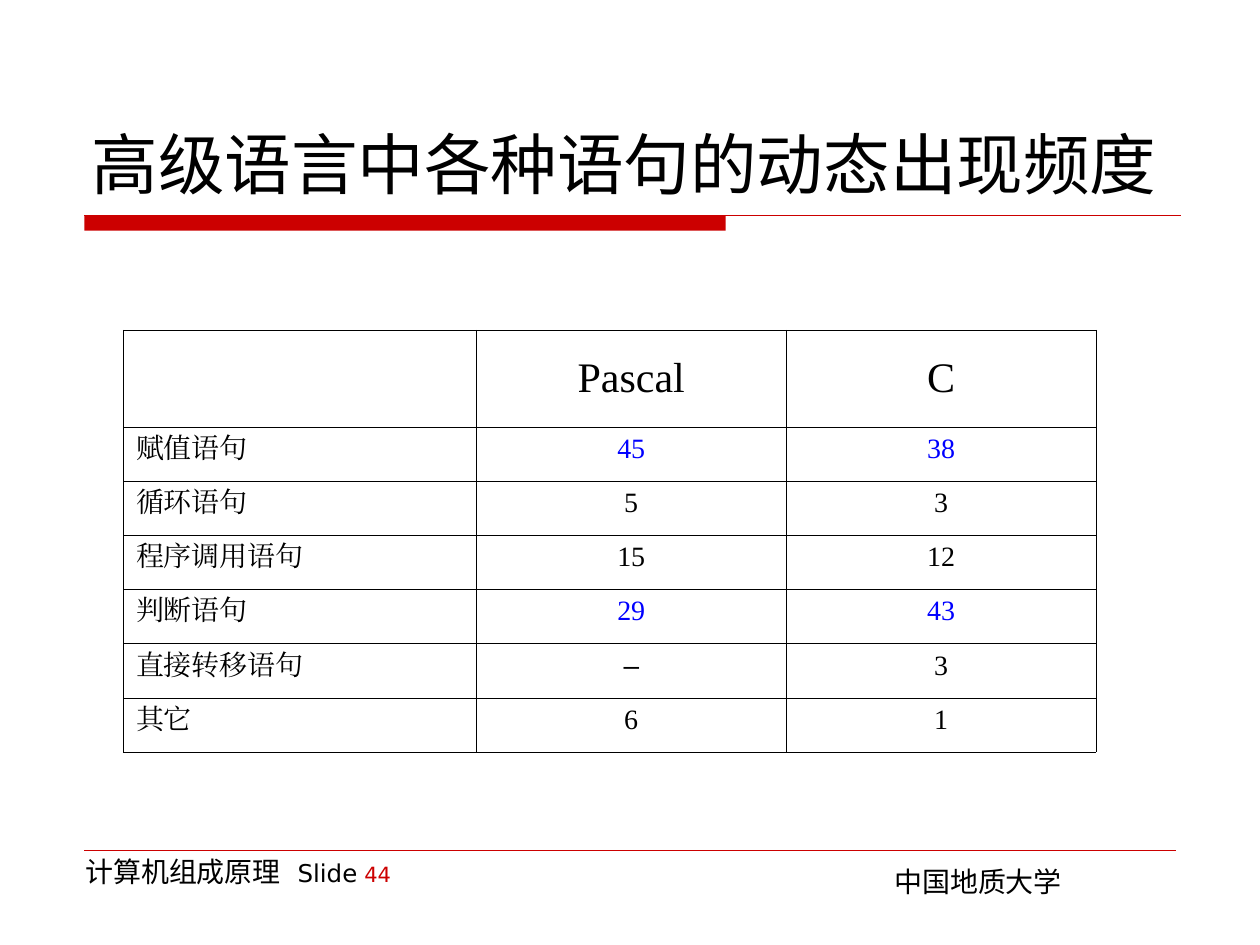
"""Build a slide comparing dynamic statement frequency in Pascal and C."""
from lxml import etree
from pptx import Presentation
from pptx.dml.color import RGBColor
from pptx.enum.shapes import MSO_CONNECTOR, MSO_SHAPE
from pptx.enum.text import MSO_ANCHOR, PP_ALIGN
from pptx.oxml.ns import qn
from pptx.util import Inches, Pt

STRAIGHT, RECTANGLE = MSO_CONNECTOR.STRAIGHT, MSO_SHAPE.RECTANGLE
TOP, MIDDLE, BOTTOM = MSO_ANCHOR.TOP, MSO_ANCHOR.MIDDLE, MSO_ANCHOR.BOTTOM
LEFT, CENTER = PP_ALIGN.LEFT, PP_ALIGN.CENTER
SANS, SERIF, DASH_FONT = "DejaVu Sans", "Times New Roman", "Arial"
COLORS = {"black": "000000", "red": "CC0000", "blue": "0000FF"}

TITLE = [("高级语言中各种语句的动态出现频度", 38, "black")]
SCHOOL = [("中国地质大学", 16, "black")]
COURSE = [
    ("计算机组成原理 ", 16, "black"),
    (" Slide", 14, "black"),
    (" ", 12, "black"),
    ("44", 12, "red"),
]
FREQUENCIES = [
    ("", "Pascal", "C"),
    ("赋值语句", "45", "38"),
    ("循环语句", "5", "3"),
    ("程序调用语句", "15", "12"),
    ("判断语句", "29", "43"),
    ("直接转移语句", "–", "3"),
    ("其它", "6", "1"),
]
HIGHLIGHTED = {"赋值语句", "判断语句"}
COLUMN_WIDTHS = (2.8, 2.46, 2.46)
HEADER_HEIGHT, ROW_HEIGHT = 0.77, 0.43


def rgb(name):
    return RGBColor.from_string(COLORS[name])


def add_run(paragraph, text, size, color, font=SANS):
    run = paragraph.add_run()
    run.text = text
    run.font.size = Pt(size)
    run.font.color.rgb = rgb(color)
    run.font.name = font
    east_asian = etree.SubElement(run.font._element, qn("a:ea"))
    east_asian.set("typeface", font)


def add_text(slide, box, runs, anchor=TOP):
    frame = slide.shapes.add_textbox(*map(Inches, box)).text_frame
    frame.word_wrap = True
    frame.vertical_anchor = anchor
    for run in runs:
        add_run(frame.paragraphs[0], *run)


def add_rule(slide, left, right, y, width):
    ends = map(Inches, (left, y, right, y))
    rule = slide.shapes.add_connector(STRAIGHT, *ends)
    rule.line.color.rgb = rgb("red")
    rule.line.width = Pt(width)
    etree.SubElement(rule._element.spPr, qn("a:effectLst"))


def set_borders(cell):
    properties = cell._tc.get_or_add_tcPr()
    for index, side in enumerate(("lnL", "lnR", "lnT", "lnB")):
        border = etree.Element(qn(f"a:{side}"), w=str(Pt(0.45)))
        fill = etree.SubElement(border, qn("a:solidFill"))
        etree.SubElement(fill, qn("a:srgbClr"), val=COLORS["black"])
        properties.insert(index, border)


def add_table(slide):
    height = HEADER_HEIGHT + ROW_HEIGHT * (len(FREQUENCIES) - 1)
    box = (0.98, 2.62, sum(COLUMN_WIDTHS), height)
    table = slide.shapes.add_table(
        len(FREQUENCIES), len(COLUMN_WIDTHS), *map(Inches, box)
    ).table
    table.first_row = table.horz_banding = False
    for column, width in zip(table.columns, COLUMN_WIDTHS):
        column.width = Inches(width)
    for r, values in enumerate(FREQUENCIES):
        header = r == 0
        table.rows[r].height = Inches(HEADER_HEIGHT if header else ROW_HEIGHT)
        for c, value in enumerate(values):
            cell = table.cell(r, c)
            cell.fill.background()
            set_borders(cell)
            cell.vertical_anchor = MIDDLE if header else TOP
            paragraph = cell.text_frame.paragraphs[0]
            paragraph.alignment = CENTER if c else LEFT
            if value:
                color = "blue" if c and values[0] in HIGHLIGHTED else "black"
                font = DASH_FONT if value == "–" else SERIF
                add_run(paragraph, value, 24 if header else 16, color, font)


def main():
    deck = Presentation()
    deck.slide_width, deck.slide_height = Inches(10), Inches(7.5)
    slide = deck.slides.add_slide(deck.slide_layouts[6])

    bar_box = map(Inches, (0.67, 1.71, 5.09, 0.12))
    bar = slide.shapes.add_shape(RECTANGLE, *bar_box)
    bar.shadow.inherit = False
    bar.fill.solid()
    bar.fill.fore_color.rgb = rgb("red")
    bar.line.fill.background()

    add_rule(slide, 0.67, 9.37, 1.71, 0.75)
    add_rule(slide, 0.67, 9.33, 6.75, 0.25)
    add_text(slide, (7, 6.81, 3, 0.52), SCHOOL)
    add_text(slide, (0.58, 6.73, 3, 0.52), COURSE)
    add_text(slide, (0.63, 0.33, 8.75, 1.33), TITLE, BOTTOM)
    add_table(slide)
    deck.save("out.pptx")


if __name__ == "__main__":
    main()
